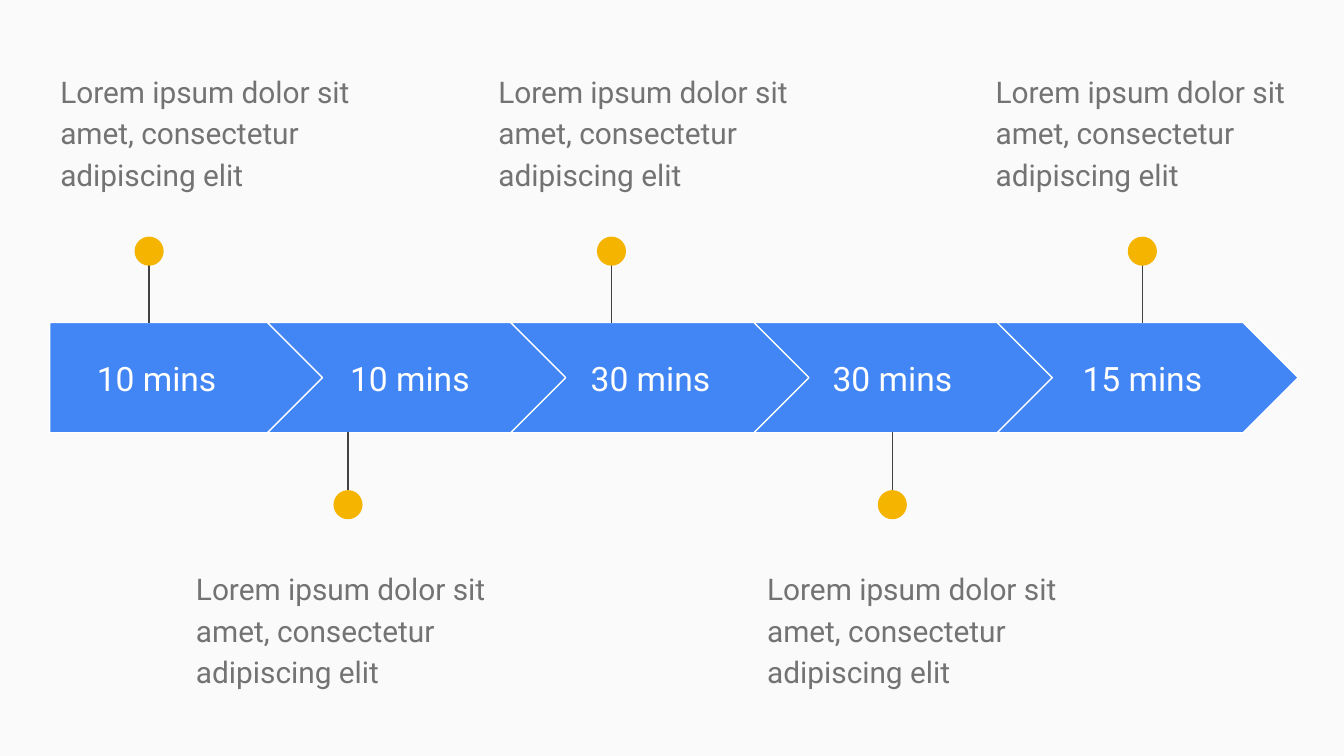
from pptx import Presentation
from pptx.dml.color import RGBColor
from pptx.enum.shapes import MSO_CONNECTOR as Connector, MSO_SHAPE as Shape
from pptx.enum.text import MSO_ANCHOR as Anchor, PP_ALIGN as Align
from pptx.oxml.xmlchemy import OxmlElement
from pptx.util import Pt

BACKGROUND = RGBColor(0xFA, 0xFA, 0xFA)
BLUE = RGBColor(0x42, 0x85, 0xF4)
YELLOW = RGBColor(0xF4, 0xB4, 0x00)
WHITE = RGBColor(0xFF, 0xFF, 0xFF)
DARK = RGBColor(0x42, 0x42, 0x42)
GRAY = RGBColor(0x73, 0x73, 0x73)
FONT = "Roboto"

# Steps: duration, label left, label width, pin centre, note left, note
NOTE = "Lorem ipsum dolor sit amet, consectetur adipiscing elit"
STEPS = [
    ("10 mins", 26.64, 114.48, 79.92, 25.2, NOTE),
    ("10 mins", 167.76, 103.68, 186.48, 97.92, NOTE),
    ("30 mins", 296.64, 103.68, 327.6, 259.92, NOTE),
    ("30 mins", 426.24, 103.68, 478.08, 403.92, NOTE),
    ("15 mins", 560.16, 103.68, 612, 526.32, NOTE),
]

# Timeline geometry in points
BAND_TOP, BAND_HEIGHT = 172.8, 59.04
FIRST_LEFT, FIRST_WIDTH = 26.64, 147.6
CHEVRON_LEFT, CHEVRON_WIDTH, CHEVRON_STEP = 143.28, 161.28, 130.32
LABEL_TOP, LABEL_HEIGHT = 184.32, 36.72
NOTE_WIDTH, NOTE_HEIGHT = 176.4, 71.28
DOT = 15.6

# Pin and note heights: line start, line end, dot top, note top
ABOVE = (129.6, 173.3, 126.8, 29.52)
BELOW = (275.04, 231.3, 262.6, 295.92)

deck = Presentation()
deck.slide_width, deck.slide_height = Pt(720), Pt(405)
page = deck.slides.add_slide(deck.slide_layouts[6])
page.background.fill.solid()
page.background.fill.fore_color.rgb = BACKGROUND


def add_text(text, left, top, width, height, *, size, color,
             align=Align.LEFT, anchor=Anchor.TOP, spacing=1.0, after=0):
    box = page.shapes.add_textbox(Pt(left), Pt(top), Pt(width), Pt(height))
    frame = box.text_frame
    frame.word_wrap = True
    frame.vertical_anchor = anchor
    frame.margin_left = frame.margin_right = Pt(7.2)
    frame.margin_top = frame.margin_bottom = Pt(7.2)
    para = frame.paragraphs[0]
    para.alignment, para.line_spacing, para.space_after = align, spacing, Pt(after)
    span = para.add_run()
    span.text = text
    span.font.name, span.font.size, span.font.color.rgb = FONT, Pt(size), color


def add_shape(kind, left, top, width, height, color, outline=None):
    shape = page.shapes.add_shape(kind, Pt(left), Pt(top), Pt(width), Pt(height))
    shape.shadow.inherit = False
    shape.fill.solid()
    shape.fill.fore_color.rgb = color
    if outline is None:
        shape.line.fill.background()
    else:
        shape.line.color.rgb = outline
        shape.line.width = Pt(0.75)
    return shape


def add_pin(center, start, end, dot_top):
    line = page.shapes.add_connector(
        Connector.STRAIGHT, Pt(center), Pt(start), Pt(center), Pt(end))
    line.line.color.rgb = DARK
    line.line.width = Pt(0.75)
    line._element.spPr.append(OxmlElement("a:effectLst"))
    add_shape(Shape.OVAL, center - DOT / 2, dot_top, DOT, DOT, YELLOW)


for index, (duration, label_left, label_width, pin, note_left, note) in enumerate(STEPS):
    # Arrow band and duration
    if index == 0:
        kind, left, width = Shape.PENTAGON, FIRST_LEFT, FIRST_WIDTH
    else:
        kind, width = Shape.CHEVRON, CHEVRON_WIDTH
        left = CHEVRON_LEFT + (index - 1) * CHEVRON_STEP
    arrow = add_shape(kind, left, BAND_TOP, width, BAND_HEIGHT, BLUE, WHITE)
    arrow.adjustments[0] = 0.5
    add_text(duration, label_left, LABEL_TOP, label_width, LABEL_HEIGHT,
             size=18, color=WHITE, align=Align.CENTER, anchor=Anchor.MIDDLE)

    # Pin and note, alternating above and below the band
    start, end, dot_top, note_top = BELOW if index % 2 else ABOVE
    add_pin(pin, start, end, dot_top)
    add_text(note, note_left, note_top, NOTE_WIDTH, NOTE_HEIGHT,
             size=16, color=GRAY, spacing=1.15, after=16)

deck.save("out.pptx")
